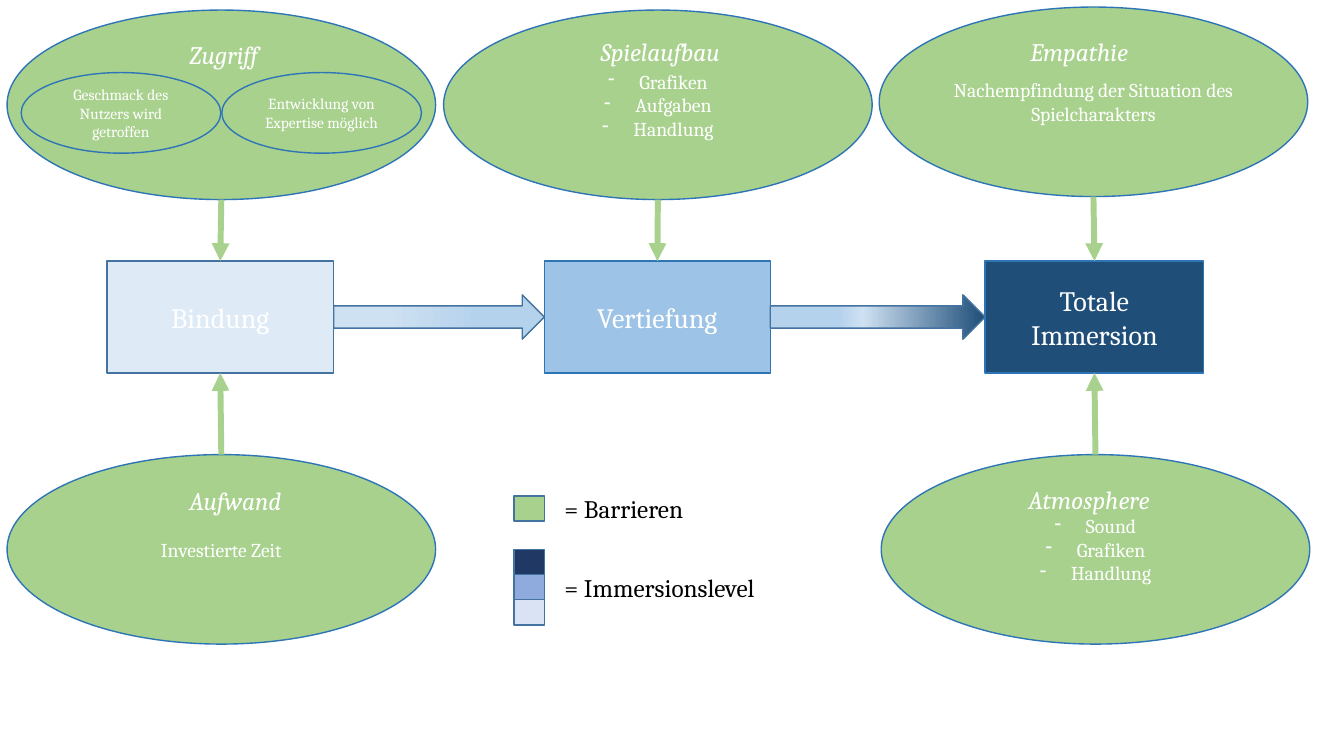
"""Builds a slide on the barriers and levels of immersion."""
from lxml import etree
from pptx import Presentation
from pptx import util as u
from pptx.dml.color import RGBColor
from pptx.enum import shapes, text
from pptx.oxml import parse_xml
from pptx.oxml.ns import nsdecls, qn

COLORS = {
    "barrier": "A9D18E", "outline": "2E75B6", "border": "43739E",
    "light": "DEEBF7", "medium": "9DC3E6", "dark": "1F4E79",
    "pale": "CEE1F2", "soft": "B5D2EC", "white": "FFFFFF", "black": "000000",
    "navy": "203864", "periwinkle": "8FAADC", "mist": "DAE3F3",
}
LEVELS = [
    ("Bindung", 1.06, 2.25, "light", "border"),
    ("Vertiefung", 5.4, 2.24, "medium", "outline"),
    ("Totale Immersion", 9.77, 2.17, "dark", "outline"),
]
TRANSITIONS = [
    [(11, "soft"), (31, "soft"), (75, "pale")],
    [(0, "dark"), (57, "pale"), (68, "soft")],
]
BARRIERS = [
    ("Zugriff", [], 0.07, 0.1, (1.78, 0.34), 0),
    ("Spielaufbau", ["Grafiken", "Aufgaben", "Handlung"], 4.4, 0.1, (5.86, 0.31), 1),
    ("Empathie", ["Nachempfindung der Situation des Spielcharakters"], 8.72, 0.07, (10.12, 0.31), 2),
    ("Aufwand", ["Investierte Zeit"], 0.07, 4.51, (1.78, 4.77), 0),
    ("Atmosphere", ["Sound", "Grafiken", "Handlung"], 8.74, 4.51, (10.1, 4.76), 2),
]
ACCESS_FACTORS = [
    ("Geschmack des Nutzers wird getroffen", 0.21),
    ("Entwicklung von Expertise möglich", 2.2),
]
LEGEND = [
    ("= Barrieren", 4.84, 1.43, 4.92, ["barrier"]),
    ("= Immersionslevel", 5.63, 2.24, 5.45, ["navy", "periwinkle", "mist"]),
]
LEVEL_TOP, LEVEL_HEIGHT = 2.59, 1.11
OVAL_WIDTH, OVAL_HEIGHT = 4.25, 1.88
ARROW_HEIGHT = 0.44
SWATCH_WIDTH, SWATCH_HEIGHT = 0.3, 0.25

prs = Presentation()
prs.slide_width, prs.slide_height = u.Inches(13.33), u.Inches(7.5)
slide = prs.slides.add_slide(prs.slide_layouts[6])


def rgb(name):
    """Return the named colour."""
    return RGBColor.from_string(COLORS[name])


def write(holder, lines, size=14, color="white", italic=False, centered=True,
          dashes=False, wrap=True):
    """Write lines into a shape or text box."""
    frame = holder.text_frame
    frame.word_wrap = wrap
    if centered:
        frame.vertical_anchor = text.MSO_ANCHOR.MIDDLE
    for index, line in enumerate(lines):
        para = frame.paragraphs[0] if index == 0 else frame.add_paragraph()
        para.alignment = text.PP_ALIGN.CENTER if centered else text.PP_ALIGN.LEFT
        run = para.add_run()
        run.text = line
        run.font.name, run.font.size = "Cambria", u.Pt(size)
        run.font.italic = italic
        run.font.color.rgb = rgb(color)
        if dashes:
            props = para._p.get_or_add_pPr()
            props.set("marL", str(u.Inches(0.31)))
            props.set("indent", str(-u.Inches(0.31)))
            etree.SubElement(props, qn("a:buFontTx"))
            etree.SubElement(props, qn("a:buChar")).set("char", "-")


def add_label(line, left, top, width, **style):
    """Add a one-line text box."""
    label = slide.shapes.add_textbox(*map(u.Inches, (left, top, width, 0.4)))
    write(label, [line], size=18, centered=False, **style)


def add_block(preset, left, top, width, height, fill, border="outline"):
    """Add a filled and outlined preset shape."""
    block = slide.shapes.add_shape(preset, *map(u.Inches, (left, top, width, height)))
    block.shadow.inherit = False
    block.fill.solid()
    block.fill.fore_color.rgb = rgb(fill)
    block.line.color.rgb = rgb(border)
    block.line.width = u.Pt(1)
    return block


def fade(block, stops):
    """Replace a solid fill with a gradient running right to left."""
    marks = "".join(f'<a:gs pos="{percent * 1000}"><a:srgbClr val="{COLORS[name]}"/></a:gs>'
                    for percent, name in stops)
    gradient = parse_xml(f'<a:gradFill {nsdecls("a")} rotWithShape="1"><a:gsLst>{marks}</a:gsLst>'
                         '<a:lin ang="10800000" scaled="0"/></a:gradFill>')
    props = block._element.spPr
    props.replace(props.find(qn("a:solidFill")), gradient)


def point_at(oval, level):
    """Draw an arrow from a barrier to the facing side of its level."""
    above = oval.top < level.top
    start_y = oval.top + oval.height if above else oval.top
    start_x = oval.left + oval.width // 2
    pointer = slide.shapes.add_connector(shapes.MSO_CONNECTOR.STRAIGHT,
                                         start_x, start_y, start_x, level.top)
    if not above:
        pointer.begin_connect(oval, 0)
    pointer.end_connect(level, 0 if above else 2)
    pointer.line.color.rgb = rgb("barrier")
    pointer.line.width = u.Pt(4.25)
    etree.SubElement(pointer.line._get_or_add_ln(), qn("a:tailEnd")).set("type", "triangle")
    etree.SubElement(pointer._element.spPr, qn("a:effectLst"))


RECT, OVAL = shapes.MSO_SHAPE.RECTANGLE, shapes.MSO_SHAPE.OVAL

levels = []
for name, left, width, fill, border in LEVELS:
    level = add_block(RECT, left, LEVEL_TOP, width, LEVEL_HEIGHT, fill, border)
    write(level, [name], size=20)
    levels.append(level)

arrow_top = LEVEL_TOP + (LEVEL_HEIGHT - ARROW_HEIGHT) / 2
for (_, left, width, *_), (_, target, *_), stops in zip(LEVELS, LEVELS[1:], TRANSITIONS):
    start = left + width
    transition = add_block(shapes.MSO_SHAPE.RIGHT_ARROW, start, arrow_top,
                           target - start, ARROW_HEIGHT, "soft", "border")
    fade(transition, stops)

for title, details, left, top, title_at, level_index in BARRIERS:
    barrier = add_block(OVAL, left, top, OVAL_WIDTH, OVAL_HEIGHT, "barrier")
    write(barrier, details, dashes=len(details) > 1)
    add_label(title, *title_at, 1.49, italic=True)
    point_at(barrier, levels[level_index])

for factor, left in ACCESS_FACTORS:
    write(add_block(OVAL, left, 0.72, 1.98, 0.8, "barrier"), [factor], size=11)

for meaning, top, width, swatch_top, fills in LEGEND:
    for row, fill in enumerate(fills):
        add_block(RECT, 5.1, swatch_top + row * SWATCH_HEIGHT,
                  SWATCH_WIDTH, SWATCH_HEIGHT, fill, "border")
    add_label(meaning, 5.5, top, width, color="black", wrap=False)

prs.save("out.pptx")
